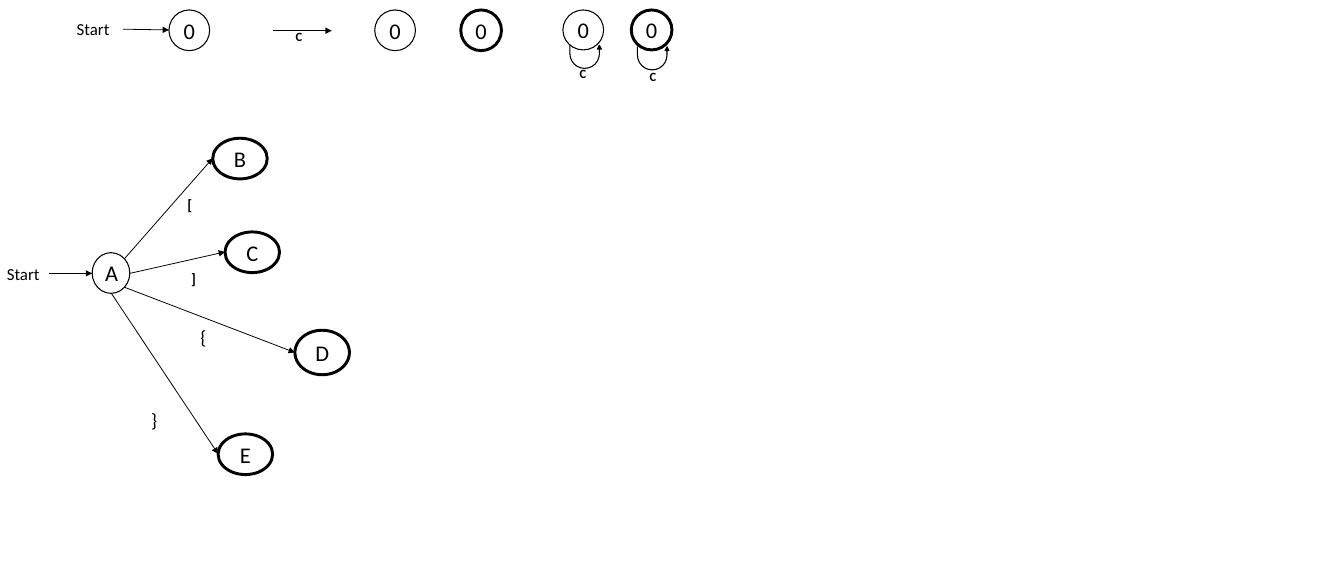
"""Build a slide with a state diagram for brackets and its notation key."""
from lxml.etree import SubElement
from pptx import Presentation
from pptx.dml.color import RGBColor
from pptx.enum.shapes import MSO_CONNECTOR as Connector, MSO_SHAPE as Shape
from pptx.enum.text import MSO_ANCHOR as Anchor, PP_ALIGN as Align
from pptx.oxml.ns import qn
from pptx.util import Inches, Pt

COLORS = {"ink": "000000", "background": "FFFFFF"}
INK = RGBColor.from_string(COLORS["ink"])


def write_text(shape, text, size, bold=False):
    """Put one formatted line of text in a shape."""
    shape.text_frame.word_wrap = True
    paragraph = shape.text_frame.paragraphs[0]
    paragraph.text = text
    paragraph.font.name = "Calibri"
    paragraph.font.size = Pt(size)
    paragraph.font.bold = bold
    paragraph.font.color.rgb = INK
    return paragraph


presentation = Presentation()
presentation.slide_width = Inches(17.5)
presentation.slide_height = Inches(7.5)
slide = presentation.slides.add_slide(presentation.slide_layouts[6])
slide.background.fill.solid()
slide.background.fill.fore_color.rgb = RGBColor.from_string(COLORS["background"])

arrows = [
    (1.6, 0.38, 2.2, 0.39),
    (3.55, 0.4, 4.32, 0.4),
    (0.64, 3.56, 1.2, 3.56),
    (1.62, 3.37, 2.77, 2.06),
    (1.69, 3.56, 2.93, 3.28),
    (1.62, 3.74, 3.84, 4.59),
    (1.45, 3.82, 2.84, 5.91),
]
for ends in arrows:
    arrow = slide.shapes.add_connector(Connector.STRAIGHT, *map(Inches, ends))
    arrow.line.color.rgb = INK
    arrow.line.width = Pt(0.75)
    SubElement(arrow.line._get_or_add_ln(), qn("a:tailEnd"), type="triangle")
    SubElement(arrow.element.spPr, qn("a:effectLst"))

states = [
    ("0", 2.2, 0.13, 0.53, 0.53, False),
    ("0", 4.88, 0.13, 0.53, 0.53, False),
    ("0", 6, 0.13, 0.53, 0.53, True),
    ("0", 7.33, 0.13, 0.53, 0.52, False),
    ("0", 8.22, 0.13, 0.53, 0.52, True),
    ("A", 1.2, 3.29, 0.49, 0.53, False),
    ("B", 2.77, 1.8, 0.71, 0.53, True),
    ("C", 2.93, 3.02, 0.71, 0.53, True),
    ("D", 3.84, 4.3, 0.71, 0.58, True),
    ("E", 2.84, 5.65, 0.71, 0.53, True),
]
for name, left, top, width, height, accepting in states:
    state = slide.shapes.add_shape(
        Shape.OVAL, Inches(left), Inches(top), Inches(width), Inches(height))
    state.shadow.inherit = False
    state.fill.background()
    state.line.color.rgb = INK
    state.line.width = Pt(2.75 if accepting else 1)
    state.text_frame.vertical_anchor = Anchor.MIDDLE
    write_text(state, name, 21).alignment = Align.CENTER

for left, top in [(7.42, 0.59), (8.3, 0.61)]:
    loop = slide.shapes.add_shape(
        Shape.U_TURN_ARROW, Inches(left), Inches(top), Inches(0.41), Inches(0.3))
    loop.shadow.inherit = False
    loop.rotation = 180
    loop.element.spPr.xfrm.set("flipH", "1")
    for index, value in enumerate([0, 0.085, 0.164, 0.717, 1]):
        loop.adjustments[index] = value
    loop.fill.solid()
    loop.fill.fore_color.rgb = INK
    loop.line.color.rgb = INK
    loop.line.width = Pt(1)

labels = [
    ("Start", 0.9, 0.2, 0.7, 0.37, 15.8, False),
    ("Start", -0.01, 3.38, 0.66, 0.37, 15.8, False),
    ("C", 3.75, 0.33, 0.22, 0.3, 11.8, True),
    ("C", 7.45, 0.81, 0.22, 0.3, 11.8, True),
    ("C", 8.36, 0.85, 0.22, 0.3, 11.8, True),
    ("[", 2.34, 2.5, 0.31, 0.34, 14, True),
    ("]", 2.39, 3.46, 0.31, 0.34, 14, True),
    ("{", 2.51, 4.19, 0.28, 0.4, 18, False),
    ("}", 1.87, 5.27, 0.28, 0.4, 18, False),
]
for text, left, top, width, height, size, bold in labels:
    label = slide.shapes.add_textbox(
        Inches(left), Inches(top), Inches(width), Inches(height))
    write_text(label, text, size, bold)

presentation.save("out.pptx")
